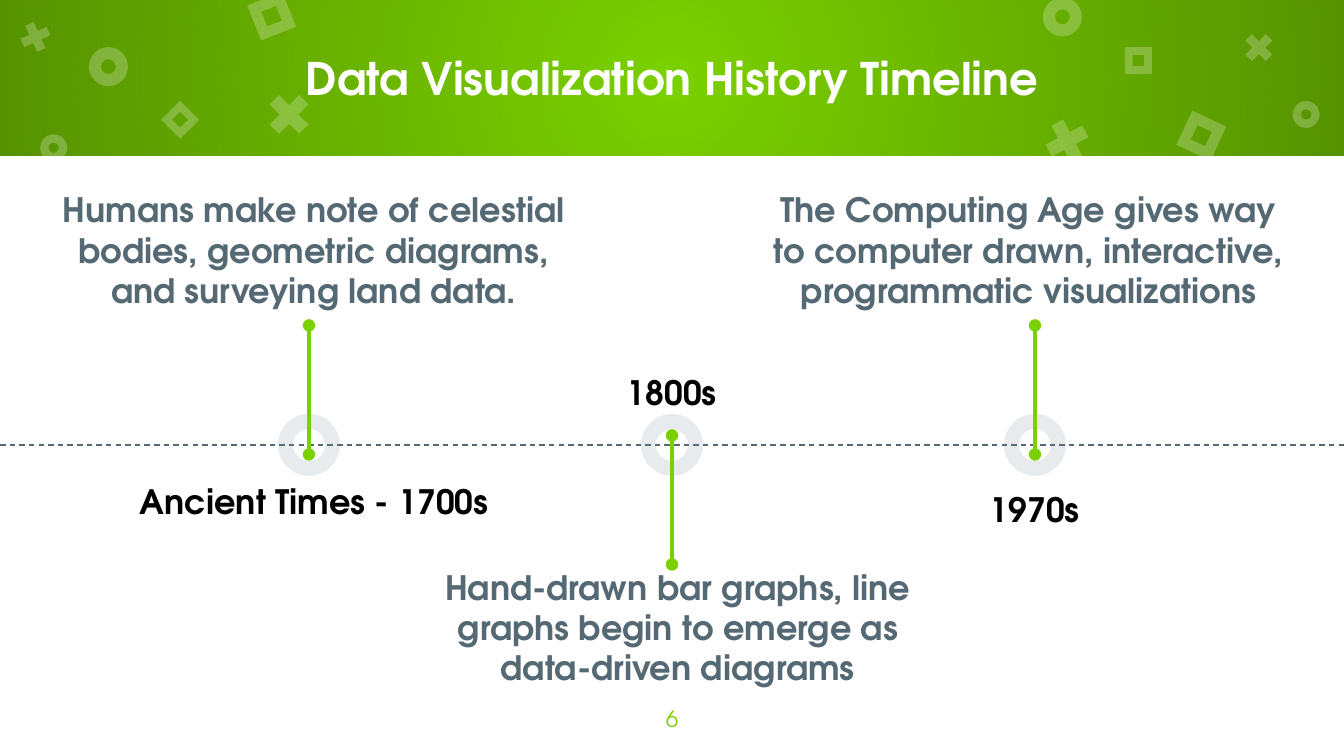
from lxml.etree import SubElement
from pptx import Presentation
from pptx.dml.color import RGBColor
from pptx.enum.dml import MSO_LINE
from pptx.enum.shapes import MSO_CONNECTOR, MSO_SHAPE
from pptx.enum.text import MSO_ANCHOR, PP_ALIGN
from pptx.oxml import parse_xml
from pptx.oxml.ns import nsdecls, qn
from pptx.util import Cm, Pt

WIDE, HIGH, BAND, AXIS = 25.4, 14.29, 2.95, 8.41
DONUT, CROSS, FRAME = MSO_SHAPE.DONUT, MSO_SHAPE.MATH_MULTIPLY, MSO_SHAPE.FRAME

GLOW = f"""<a:gradFill {nsdecls('a')}><a:gsLst>
<a:gs pos="0"><a:srgbClr val="000000"><a:alpha val="0"/></a:srgbClr></a:gs>
<a:gs pos="100000"><a:srgbClr val="000000"><a:alpha val="30000"/></a:srgbClr></a:gs>
</a:gsLst><a:path path="circle">
<a:fillToRect l="50000" t="50000" r="50000" b="50000"/></a:path></a:gradFill>"""


def paint(target, code):
    target.rgb = RGBColor.from_string(code)


def write(frame, text, size=18, color="000000", bold=True, font="TeX Gyre Adventor"):
    para = frame.paragraphs[0]
    para.alignment = PP_ALIGN.CENTER
    run = para.add_run()
    run.text = text
    run.font.size, run.font.bold, run.font.name = Pt(size), bold, font
    paint(run.font.color, color)


class Deck:
    green, slate, mist, white = "7BD100", "546973", "667F8C", "FFFFFF"

    def __init__(self):
        self.file = Presentation()
        self.file.slide_width, self.file.slide_height = Cm(WIDE), Cm(HIGH)
        self.slide = self.file.slides.add_slide(self.file.slide_layouts[6])
        back = self.slide.background.fill
        back.solid()
        paint(back.fore_color, self.green)

    def shape(self, kind, x, y, w, h, color=None, alpha=100, turn=0, ratio=None):
        item = self.slide.shapes.add_shape(kind, Cm(x), Cm(y), Cm(w), Cm(h))
        item.shadow.inherit = False
        item.line.fill.background()
        item.rotation = turn
        if ratio is not None:
            item.adjustments[0] = ratio
        if color:
            item.fill.solid()
            paint(item.fill.fore_color, color)
            if alpha < 100:
                tint = item.fill._xPr.find(".//" + qn("a:srgbClr"))
                SubElement(tint, qn("a:alpha"), val=str(alpha * 1000))
        return item

    def glow(self, x, y, w, h):
        props = self.shape(MSO_SHAPE.RECTANGLE, x, y, w, h)._element.spPr
        props.find(qn("a:prstGeom")).addnext(parse_xml(GLOW))

    def line(self, x1, y1, x2, y2, color, width, dash=None, dots=False):
        item = self.slide.shapes.add_connector(
            MSO_CONNECTOR.STRAIGHT, Cm(x1), Cm(y1), Cm(x2), Cm(y2))
        paint(item.line.color, color)
        item.line.width = Pt(width)
        if dash:
            item.line.dash_style = dash
        if dots:
            for end in ("a:headEnd", "a:tailEnd"):
                SubElement(item.line._ln, qn(end), type="oval")
        SubElement(item._element.spPr, qn("a:effectLst"))

    def text(self, words, x, y, w, h, anchor=MSO_ANCHOR.TOP, **style):
        frame = self.slide.shapes.add_textbox(Cm(x), Cm(y), Cm(w), Cm(h)).text_frame
        frame.word_wrap, frame.vertical_anchor = True, anchor
        frame.margin_left = frame.margin_right = Cm(0.25)
        frame.margin_top = frame.margin_bottom = Cm(0.25)
        write(frame, words, **style)


def main():
    deck = Deck()

    # Header band and white page
    deck.glow(0, 0, WIDE, BAND)
    deck.shape(MSO_SHAPE.RECTANGLE, 0, BAND, WIDE, HIGH - BAND, deck.white)

    # Scattered marks: kind, left, top, size, turn
    ratios = {DONUT: 0.31, CROSS: 0.235, FRAME: 0.289}
    marks = [
        (DONUT, 1.68, 0.89, 0.74, 0), (CROSS, 4.93, 1.63, 1.07, 0),
        (FRAME, 4.78, -0.05, 0.71, 338.4), (DONUT, 19.71, -0.05, 0.74, 0),
        (CROSS, 19.63, 2.13, 1.07, 17.5), (FRAME, 22.35, 2.21, 0.71, 25),
        (DONUT, 0.76, 2.54, 0.51, 0), (CROSS, 0.3, 0.33, 0.74, 20.4),
        (FRAME, 3.15, 2.01, 0.51, 45), (DONUT, 24.43, 1.91, 0.51, 0),
        (CROSS, 23.42, 0.53, 0.74, 0), (FRAME, 21.26, 0.89, 0.51, 0),
    ]
    for kind, x, y, size, turn in marks:
        deck.shape(kind, x, y, size, size, deck.white, 24, turn, ratios[kind])

    # Title
    deck.text("Data Visualization History Timeline", 1.27, 0, 22.86, BAND,
              MSO_ANCHOR.MIDDLE, size=24, color=deck.white)

    # Time axis
    deck.line(0, AXIS, WIDE, AXIS, deck.slate, 0.75, MSO_LINE.DASH)

    # Events: stem way (1 up, -1 down), date, date box, note, note corner
    events = [
        (1, "Ancient Times - 1700s", (1.42, 8.84, 9.04, 1.45),
         "Humans make note of celestial bodies, geometric diagrams, "
         "and surveying land data.", (0.66, 3.33)),
        (-1, "1800s", (10.97, 6.78, 3.45, 1.14),
         "Hand-drawn bar graphs, line graphs begin to emerge as "
         "data-driven diagrams", (7.54, 10.46)),
        (1, "1970s", (17.83, 8.99, 3.45, 1.14),
         "The Computing Age gives way to computer drawn, interactive, "
         "programmatic visualizations", (14.17, 3.33)),
    ]
    ring, gap = 1.17, 6.86
    for i, (way, date, box, note, spot) in enumerate(events):
        mid = WIDE / 2 + (i - 1) * gap
        deck.shape(DONUT, mid - ring / 2, AXIS - ring / 2, ring, ring,
                   deck.mist, 15, ratio=0.241)
        deck.line(mid, AXIS + way * 0.18, mid, AXIS - way * 2.26,
                  deck.green, 2.25, dots=True)
        deck.text(date, *box)
        deck.text(note, *spot, 10.54, 2.79, color=deck.slate)

    # Page number
    deck.text("6", 11.94, 13.08, 1.52, 1.09, size=12, color=deck.green, bold=False)

    deck.file.save("out.pptx")


if __name__ == "__main__":
    main()
